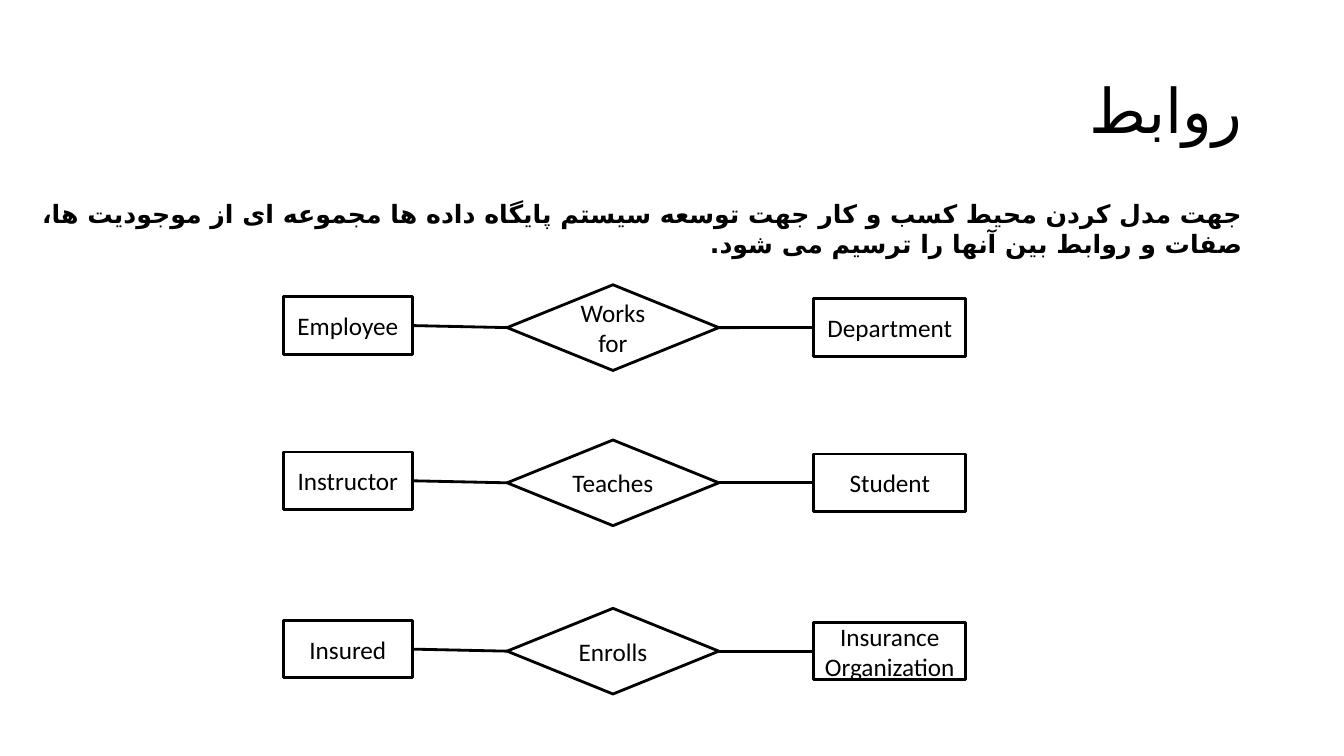
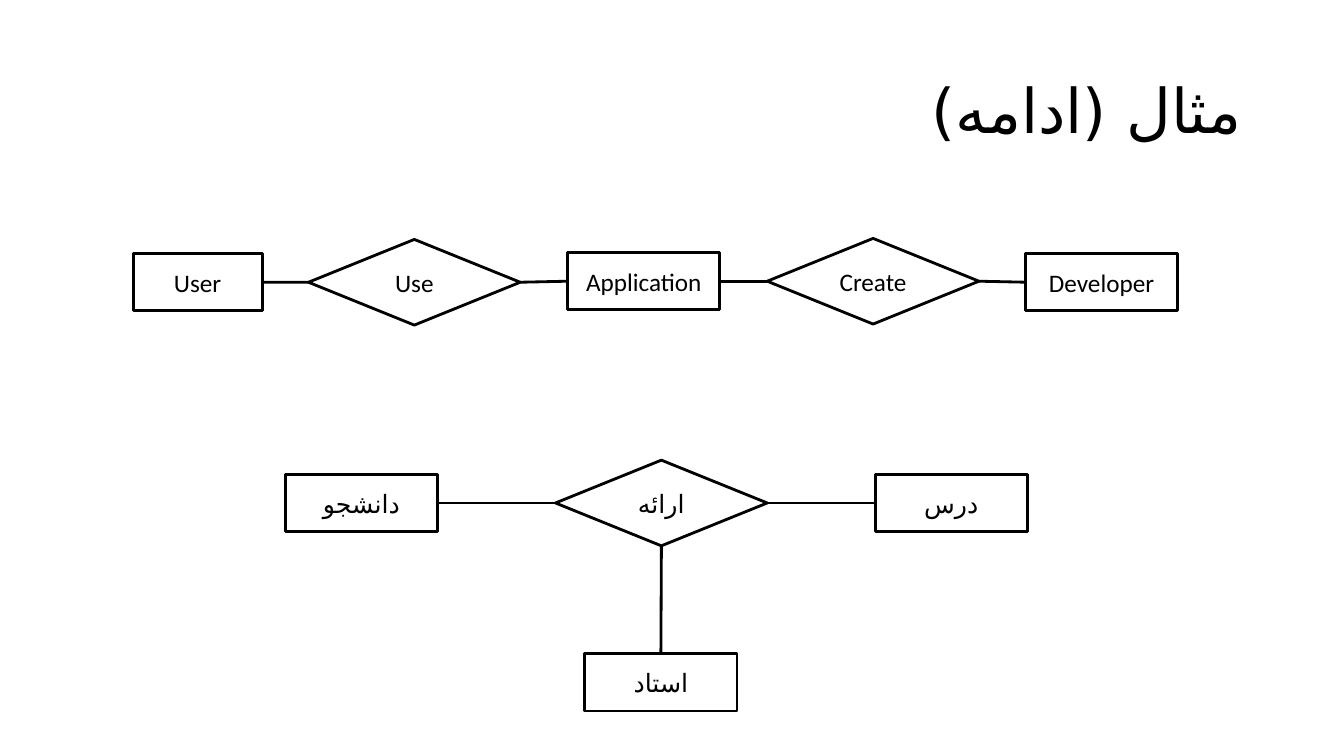
from dataclasses import dataclass
from enum import IntEnum

from lxml import etree
from pptx import Presentation
from pptx.dml.color import RGBColor
from pptx.enum import shapes, text
from pptx.oxml import ns
from pptx.util import Inches, Pt

FONT = "Calibri"
PERSIAN_FONT = "DejaVu Sans"
INK = "000000"
LINE_WIDTH = 2
NARROW, WIDE = 1.28, 1.51
ENTITY_HEIGHT = 0.57
DIAMOND_WIDTH, DIAMOND_HEIGHT = 2.1, 0.85
TITLE_ONLY = 5


class Side(IntEnum):
    TOP = 0
    LEFT = 1
    BOTTOM = 2
    RIGHT = 3


@dataclass(frozen=True)
class Node:
    label: str
    left: float
    middle: float
    width: float = WIDE
    height: float = ENTITY_HEIGHT
    kind: shapes.MSO_SHAPE = shapes.MSO_SHAPE.RECTANGLE


@dataclass(frozen=True)
class Link:
    start: str
    end: str
    start_side: Side = Side.RIGHT
    end_side: Side = Side.LEFT


@dataclass(frozen=True)
class Relation:
    subject: str
    verb: str
    target: str
    middle: float


RELATIONS = [
    Relation("Employee", "Works for", "Department", 3.25),
    Relation("Instructor", "Teaches", "Student", 4.79),
    Relation("Insured", "Enrolls", "Insurance Organization", 6.46),
]


def diamond(label: str, left: float, middle: float) -> Node:
    return Node(label, left, middle, DIAMOND_WIDTH, DIAMOND_HEIGHT,
                shapes.MSO_SHAPE.DIAMOND)


def color(value: str) -> RGBColor:
    return RGBColor.from_string(value)


def write(frame, words: str, *, size: float = 18, bold: bool = False,
          align=text.PP_ALIGN.CENTER, anchor=text.MSO_ANCHOR.MIDDLE,
          rtl: bool = False, spacing: float | None = None) -> None:
    frame.word_wrap = True
    frame.vertical_anchor = anchor
    para = frame.paragraphs[0]
    para.alignment = align
    para.line_spacing = spacing
    if rtl:
        para._p.get_or_add_pPr().set("rtl", "1")
    span = para.add_run()
    span.text = words
    span.font.size = Pt(size)
    span.font.bold = bold
    span.font.name = FONT
    span.font.color.rgb = color(INK)
    script_font = etree.SubElement(span._r.get_or_add_rPr(), ns.qn("a:cs"))
    script_font.set("typeface", PERSIAN_FONT)


def style_line(line) -> None:
    line.color.rgb = color(INK)
    line.width = Pt(LINE_WIDTH)


def add_page(deck, title: str):
    page = deck.slides.add_slide(deck.slide_layouts[TITLE_ONLY])
    box = page.shapes.title
    box.left, box.top = Inches(0.92), Inches(0.4)
    box.width, box.height = Inches(11.5), Inches(1.45)
    write(box.text_frame, title, size=44, align=text.PP_ALIGN.RIGHT,
          rtl=True, spacing=0.9)
    return page


def add_node(page, node: Node):
    box = page.shapes.add_shape(
        node.kind, Inches(node.left), Inches(node.middle - node.height / 2),
        Inches(node.width), Inches(node.height))
    box.shadow.inherit = False
    box.fill.background()
    style_line(box.line)
    write(box.text_frame, node.label)
    return box


def add_link(page, boxes: dict, link: Link) -> None:
    connector = page.shapes.add_connector(
        shapes.MSO_CONNECTOR.STRAIGHT, 0, 0, 0, 0)
    connector.begin_connect(boxes[link.start], link.start_side)
    connector.end_connect(boxes[link.end], link.end_side)
    style_line(connector.line)
    etree.SubElement(connector._element.spPr, ns.qn("a:effectLst"))


def add_diagram(page, nodes: list[Node], links: list[Link]) -> None:
    boxes = {node.label: add_node(page, node) for node in nodes}
    for link in links:
        add_link(page, boxes, link)


def build_relations(deck) -> None:
    page = add_page(deck, "روابط")
    intro = page.shapes.add_textbox(
        Inches(0.25), Inches(1.92), Inches(12.17), Inches(0.7))
    write(intro.text_frame,
          "جهت مدل کردن محیط کسب و کار جهت توسعه سیستم پایگاه داده ها "
          "مجموعه ای از موجودیت ها، صفات و روابط بین آنها را ترسیم می شود.",
          bold=True, align=text.PP_ALIGN.RIGHT, anchor=text.MSO_ANCHOR.TOP,
          rtl=True)
    for relation in RELATIONS:
        add_diagram(
            page,
            [Node(relation.subject, 2.81, relation.middle - 0.02, NARROW),
             diamond(relation.verb, 5.03, relation.middle),
             Node(relation.target, 8.07, relation.middle)],
            [Link(relation.subject, relation.verb),
             Link(relation.verb, relation.target)])


def build_examples(deck) -> None:
    page = add_page(deck, "مثال (ادامه)")
    chain = [
        Node("User", 1.32, 2.8, NARROW),
        diamond("Use", 3.06, 2.8),
        Node("Application", 5.63, 2.79),
        diamond("Create", 7.61, 2.79),
        Node("Developer", 10.17, 2.8),
    ]
    add_diagram(page, chain, [Link(first.label, second.label)
                              for first, second in zip(chain, chain[1:])])
    add_diagram(
        page,
        [Node("دانشجو", 2.83, 4.99),
         diamond("ارائه", 5.51, 4.99),
         Node("درس", 8.68, 4.99),
         Node("استاد", 5.8, 6.77)],
        [Link("دانشجو", "ارائه"),
         Link("ارائه", "درس"),
         Link("ارائه", "استاد", Side.BOTTOM, Side.TOP)])


def main() -> None:
    deck = Presentation()
    deck.slide_width, deck.slide_height = Inches(13.33), Inches(7.5)
    build_relations(deck)
    build_examples(deck)
    deck.save("out.pptx")


if __name__ == "__main__":
    main()
